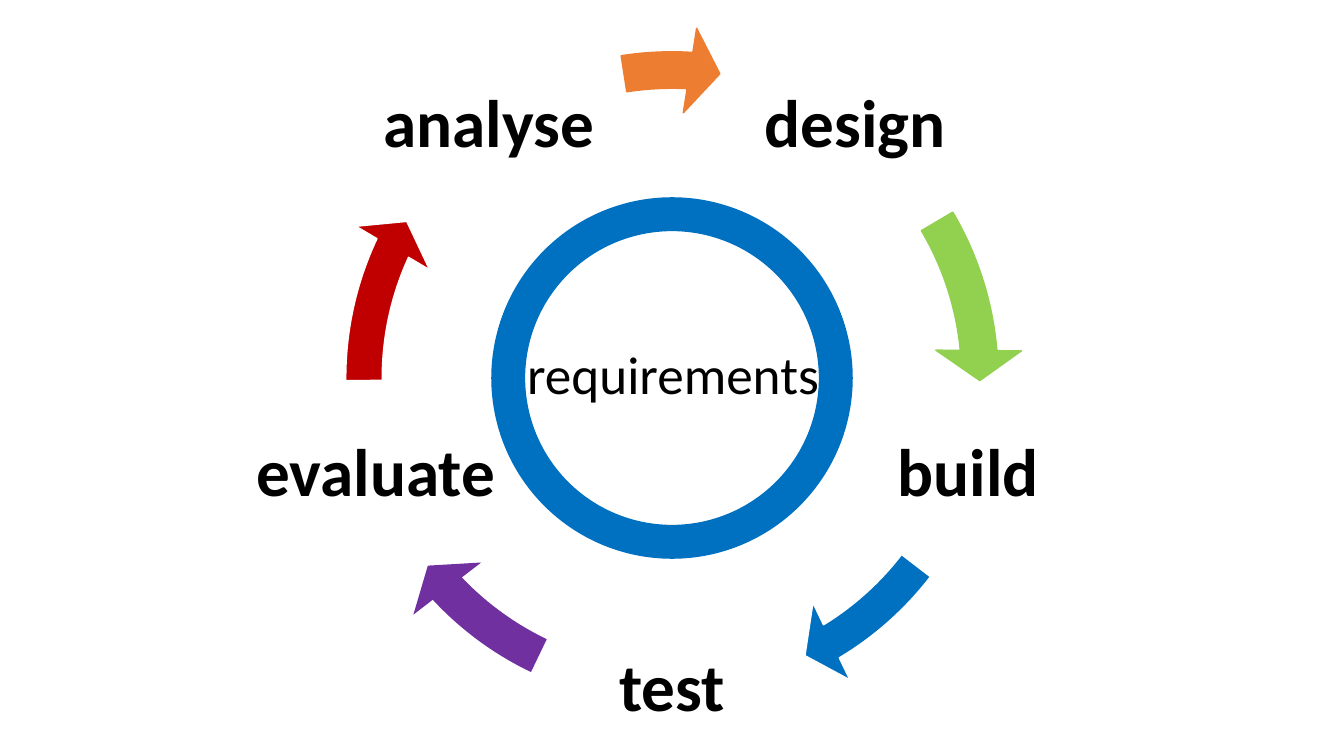
from dataclasses import dataclass
from math import cos, radians, sin

from pptx import Presentation
from pptx.dml.color import RGBColor
from pptx.enum import shapes, text
from pptx.util import Pt


@dataclass(frozen=True)
class Theme:
    font: str = "Calibri"
    ink: str = "000000"
    white: str = "FFFFFF"
    orange: str = "ED7D31"
    green: str = "92D050"
    blue: str = "0070C0"
    purple: str = "7030A0"
    red: str = "C00000"
    stage_size: float = 48
    core_size: float = 38


class Board:
    def __init__(self, slide, theme):
        self.slide = slide
        self.theme = theme

    def outline(self, shape, color, width):
        if color:
            shape.line.color.rgb = RGBColor.from_string(color)
            shape.line.width = Pt(width)
        else:
            shape.line.fill.background()

    def centred(self, preset, center, size):
        x, y = center
        shape = self.slide.shapes.add_shape(
            preset, Pt(x - size / 2), Pt(y - size / 2), Pt(size), Pt(size))
        shape.shadow.inherit = False
        return shape

    def ring(self, center, size, color, width):
        ring = self.centred(shapes.MSO_SHAPE.OVAL, center, size)
        ring.fill.background()
        self.outline(ring, color, width)

    def arc_arrow(self, center, size, start, end, color, edge):
        arrow = self.centred(shapes.MSO_SHAPE.CIRCULAR_ARROW, center, size)
        angle_unit = 0.6
        settings = (0.052, 5.6 * angle_unit, end * angle_unit,
                    start * angle_unit, 0.061)
        for index, value in enumerate(settings):
            arrow.adjustments[index] = value
        arrow.fill.solid()
        arrow.fill.fore_color.rgb = RGBColor.from_string(color)
        self.outline(arrow, edge, 1)

    def label(self, words, left, top, width, height, size, bold=False,
              align=text.PP_ALIGN.LEFT, anchor=text.MSO_ANCHOR.TOP, spacing=1.0):
        frame = self.slide.shapes.add_textbox(
            Pt(left), Pt(top), Pt(width), Pt(height)).text_frame
        frame.word_wrap = True
        frame.vertical_anchor = anchor
        paragraph = frame.paragraphs[0]
        paragraph.text = words
        paragraph.alignment = align
        paragraph.line_spacing = spacing
        paragraph.font.name = self.theme.font
        paragraph.font.size = Pt(size)
        paragraph.font.bold = bold
        paragraph.font.color.rgb = RGBColor.from_string(self.theme.ink)

    def stage(self, words, center, width, height):
        x, y = center
        self.label(words, x - width / 2, y - height / 2, width, height,
                   self.theme.stage_size, True, text.PP_ALIGN.CENTER,
                   text.MSO_ANCHOR.MIDDLE, 0.9)


theme = Theme()
deck = Presentation()
deck.slide_width, deck.slide_height = Pt(960), Pt(540)
board = Board(deck.slides.add_slide(deck.slide_layouts[6]), theme)

hub = (480, 270)
cycle_radius = 222.5
arrow_size = 501
cycle = [
    ("design", 329.44, 354.89, theme.green, theme.green),
    ("build", 37.56, 58.8, theme.blue, theme.white),
    ("test", 115.6, 136.84, theme.purple, None),
    ("evaluate", 179.52, 204.96, theme.red, theme.white),
    ("analyse", 261.04, 273.36, theme.orange, theme.orange),
]
for index, (name, start, end, color, edge) in enumerate(cycle):
    angle = radians(-54 + index * 360 / len(cycle))
    spot = (hub[0] + cycle_radius * cos(angle),
            hub[1] + cycle_radius * sin(angle))
    board.stage(name, spot, 192, 134)
    board.arc_arrow(hub, arrow_size, start, end, color, edge)

board.ring(hub, 234, theme.blue, 24.25)
board.label("requirements", 369.4, 240, 237.6, 53, theme.core_size)

deck.save("out.pptx")
